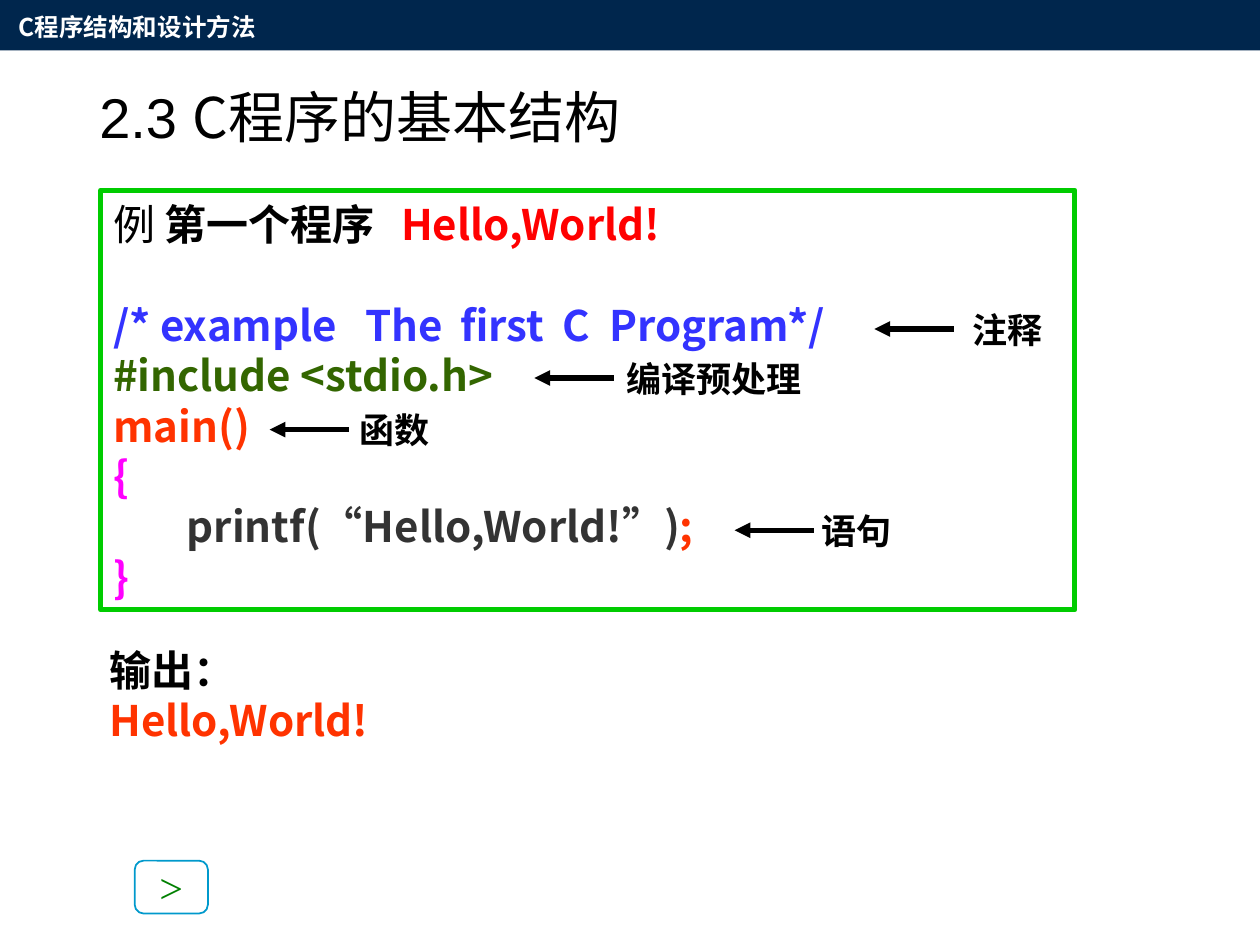
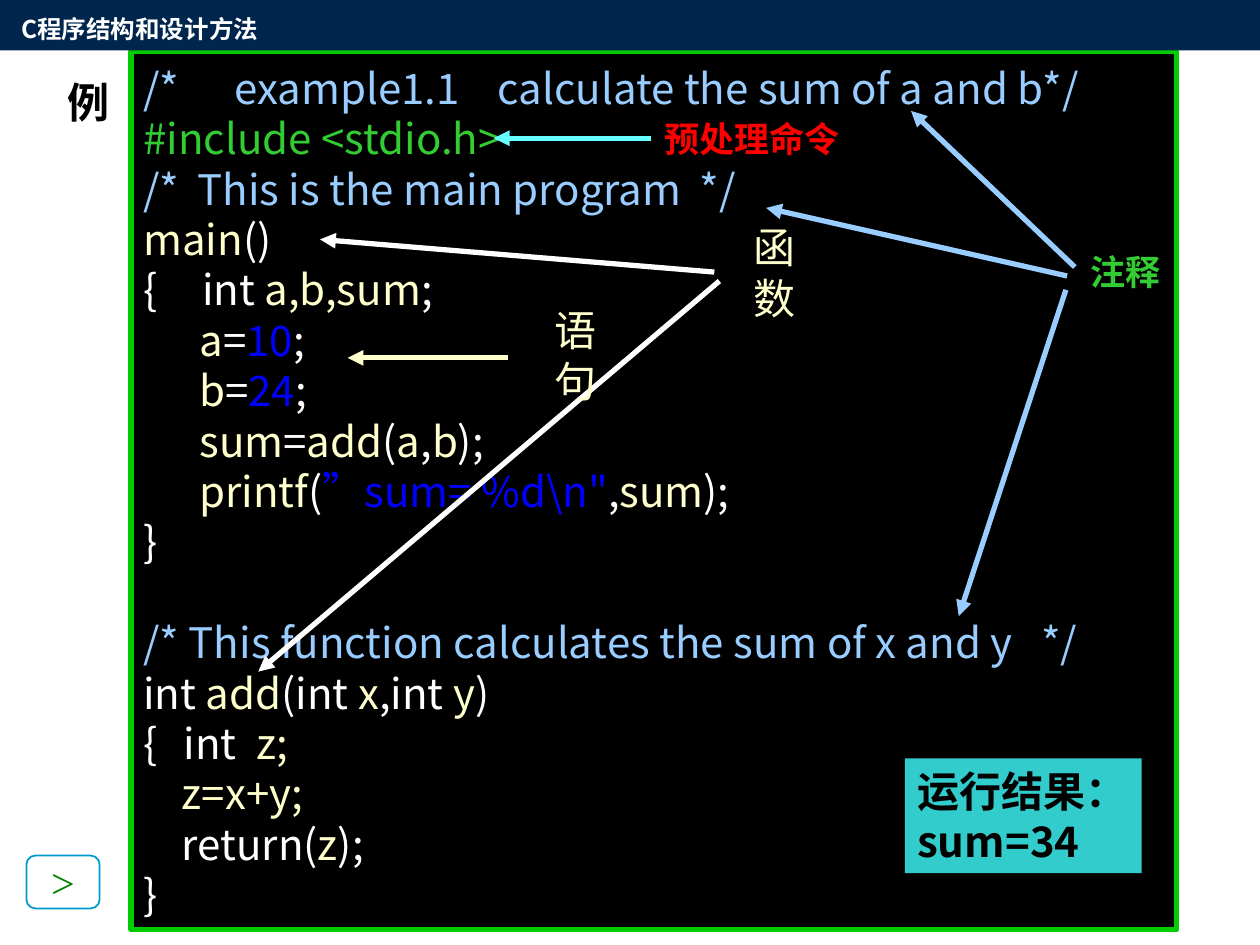
from pptx import Presentation
from pptx.dml.color import RGBColor
from pptx.enum.shapes import MSO_CONNECTOR as Line, MSO_SHAPE as Kind
from pptx.enum.text import MSO_ANCHOR as Anchor, PP_ALIGN as Align
from pptx.oxml.ns import qn
from pptx.util import Pt
from lxml.etree import SubElement

rgb = RGBColor.from_string
SANS, SERIF = "Noto Sans CJK SC", "Times New Roman"
BLACK, WHITE, NAVY, GREEN = "000000", "FFFFFF", "00264D", "00CC00"
BLUE, LIME, CREAM, SKY = "0000FF", "33CC33", "FFFFCC", "99CCFF"
RED, FLAME, PINK, TEAL = "FF0000", "FF3300", "FF00FF", "33CCCC"
CODE = 24
BLANK = 28.8  # height of one empty code line


def text(slide, lines, box, size=CODE, color=BLACK, bold=False, font=SANS,
         fill=None, edge=None, width=3, kind=None, mid=True, center=False):
    """Add a box of lines; a line is a string or (runs, format), and
    runs alternate text and colour."""
    spot = [Pt(v) for v in box]
    if kind or fill or edge:
        shape = slide.shapes.add_shape(kind or Kind.RECTANGLE, *spot)
        shape.shadow.inherit = False
        if fill:
            shape.fill.solid()
            shape.fill.fore_color.rgb = rgb(fill)
        else:
            shape.fill.background()
        if edge:
            shape.line.color.rgb = rgb(edge)
            shape.line.width = Pt(width)
        else:
            shape.line.fill.background()
    else:
        shape = slide.shapes.add_textbox(*spot)
    frame = shape.text_frame
    frame.word_wrap = not center
    frame.vertical_anchor = Anchor.MIDDLE if mid else Anchor.TOP
    if not center:
        frame.margin_right = 0
    for i, line in enumerate([lines] if isinstance(lines, str) else lines):
        runs, form = ((line, color), {}) if isinstance(line, str) else line
        para = frame.add_paragraph() if i else frame.paragraphs[0]
        para.alignment = Align.CENTER if center else Align.LEFT
        if "gap" in form:
            para.space_before = Pt(form["gap"])
        props = para._p.get_or_add_pPr()
        if "indent" in form:
            props.set("marL", str(Pt(form["indent"])))
            props.set("indent", "0")
        if "tabs" in form:
            stops = SubElement(props, qn("a:tabLst"))
            for tab in form["tabs"]:
                SubElement(stops, qn("a:tab"), pos=str(Pt(tab)), algn="l")
        for part, tint in zip(runs[::2], runs[1::2]):
            run = para.add_run()
            run.text = part
            face = run.font
            face.size, face.name = Pt(size), form.get("font", font)
            face.bold = form.get("bold", bold)
            face.color.rgb = rgb(tint)
            SubElement(run._r.get_or_add_rPr(), qn("a:ea"), typeface=SANS)
    return shape


def arrow(slide, start, end, color=BLACK, label=None):
    """Draw an arrow, joined to the left side of the label if given."""
    wire = slide.shapes.add_connector(
        Line.STRAIGHT, *[Pt(v) for v in (*start, *end)])
    wire.line.color.rgb = rgb(color)
    wire.line.width = Pt(3)
    SubElement(wire.line._get_or_add_ln(), qn("a:tailEnd"), type="triangle")
    SubElement(wire._element.spPr, qn("a:effectLst"))
    if label:
        wire.begin_connect(label, 1)


deck = Presentation()
deck.slide_width, deck.slide_height = Pt(720), Pt(540)
first, second = [deck.slides.add_slide(deck.slide_layouts[6]) for _ in range(2)]

# Slide 1: the first program
title = text(first, [(("2.3 ", BLACK, "C程序的基本结构", BLACK), {})],
             (49.7, 43.9, 612, 72), size=32, mid=False)
title.text_frame.paragraphs[0].runs[0].font.name = "Arial"

hello = [
    (("例 ", BLACK, "第一个程序\t", BLACK, "Hello,World!", RED),
     {"tabs": [164.5]}),
    (("/* example\tThe\tfirst\tC\tProgram*/", "3333FF"),
     {"tabs": [144, 198.5, 257, 283.5], "gap": BLANK}),
    (("#include <stdio.h>", "336600"), {}),
    (("main()", FLAME), {}),
    (("{", PINK), {}),
    (("printf(“Hello,World!”)", "333333", ";", FLAME), {"indent": 42}),
    (("}", PINK), {}),
]
panel = text(first, hello, (57.6, 108.7, 556.6, 239.8), bold=True,
             fill=WHITE, edge=GREEN)
panel.text_frame.paragraphs[0].runs[0].font.bold = False

# word, arrow tip, label left, label width, middle height
for word, tip, left, wide, mid in [
        ("注释", 499.7, 548.6, 54.7, 188),
        ("编译预处理", 305.3, 350.6, 115.2, 216),
        ("函数", 154.1, 198, 54.7, 245.5),
        ("语句", 419.8, 462.2, 54.7, 303)]:
    tag = text(first, word, (left, mid - 16, wide, 32), size=20, bold=True,
               center=True)
    tail = tip + 45.3
    arrow(first, (tail, mid), (tip, mid),
          label=tag if abs(tail - left) < 0.5 else None)

text(first, ["输出：", (("Hello,World!", FLAME), {})],
     (55.4, 364.3, 169.2, 65.5), bold=True)

# Slide 2: a program with a function of its own
text(second, "例", (31.7, 40.3, 612, 64.8), bold=True, mid=False)

step, body = {"indent": 32}, {"indent": 22}
adder = [
    (("/*\texample1.1\tcalculate the sum of a and b*/", SKY),
     {"tabs": [52, 202.5]}),
    (("#include <stdio.h>", LIME), {}),
    (("/*\tThis is the main program\t*/", SKY), {"tabs": [31, 318]}),
    (("main", CREAM, "()", WHITE), {}),
    (("{\tint ", WHITE, "a,b,sum", CREAM, ";", WHITE), {"tabs": [33.5]}),
    (("a", CREAM, "=", WHITE, "10", BLUE, ";", WHITE), step),
    (("b", CREAM, "=", WHITE, "24", BLUE, ";", WHITE), step),
    (("sum", CREAM, "=", WHITE, "add", CREAM, "(", WHITE, "a", CREAM,
      ",", WHITE, "b", CREAM, ");", WHITE), step),
    (("printf", CREAM, "(", WHITE, r'”sum= %d\n"', BLUE, ",", WHITE,
      "sum", CREAM, ");", WHITE), step),
    (("}", WHITE), {}),
    (("/* This function calculates the sum of x and y\t*/", SKY),
     {"tabs": [513], "gap": BLANK}),
    (("int ", WHITE, "add", CREAM, "(int ", WHITE, "x", CREAM,
      ",int ", WHITE, "y", CREAM, ")", WHITE), {}),
    (("{\tint\t", WHITE, "z;", CREAM), {"tabs": [23, 64.5]}),
    (("z=x+y;", CREAM), body),
    (("return(", WHITE, "z", CREAM, ");", WHITE), body),
    (("}", WHITE), {}),
]
text(second, adder, (74.9, 29.5, 597.6, 501.8), fill=BLACK, edge=GREEN)
text(second, ["运行结果：", "sum=34"], (517, 433.4, 135.4, 65.5), bold=True,
     fill=TEAL)

for start, end, color in [
        ((408.2, 155.5), (182.9, 136.8), WHITE),
        ((411.1, 160.6), (147.6, 383.8), WHITE),
        ((290.2, 204.5), (198.7, 204.5), CREAM),
        ((614.2, 152.6), (520.6, 63.4), SKY),
        ((609.8, 157.7), (437.8, 118.8), SKY),
        ((609.1, 165.6), (547.9, 352.1), SKY)]:
    arrow(second, start, end, color)

for word, left, top in [("函数", 411.8, 137.5), ("语句", 298.1, 185)]:
    text(second, word, (left, top, 61.9, 36), color=CREAM, font=SERIF,
         center=True)
text(second, "注释", (615.6, 139, 54.7, 32), size=20, color=LIME, bold=True,
     center=True)
order = text(second, "预处理命令", (372.2, 63, 115.2, 32), size=20, color=RED,
             bold=True, center=True)
arrow(second, (372.2, 79), (282.2, 79), "66FFFF", order)

# Shared next button and banner
for slide, (left, top), (x, y) in [
        (first, (77, 491.8), (3.6, 3.6)),
        (second, (15.1, 488.9), (5, 4.3))]:
    text(slide, ">", (left, top, 41.8, 30.2), color="008000", font=SERIF,
         edge="0099CC", width=1, kind=Kind.ROUNDED_RECTANGLE, center=True)
    text(slide, [], (0, 0, 720, 28.8), fill=NAVY)
    text(slide, "C程序结构和设计方法", (x, y, 161.3, 24.5), size=14,
         color=WHITE, bold=True, mid=False)

deck.save("out.pptx")
